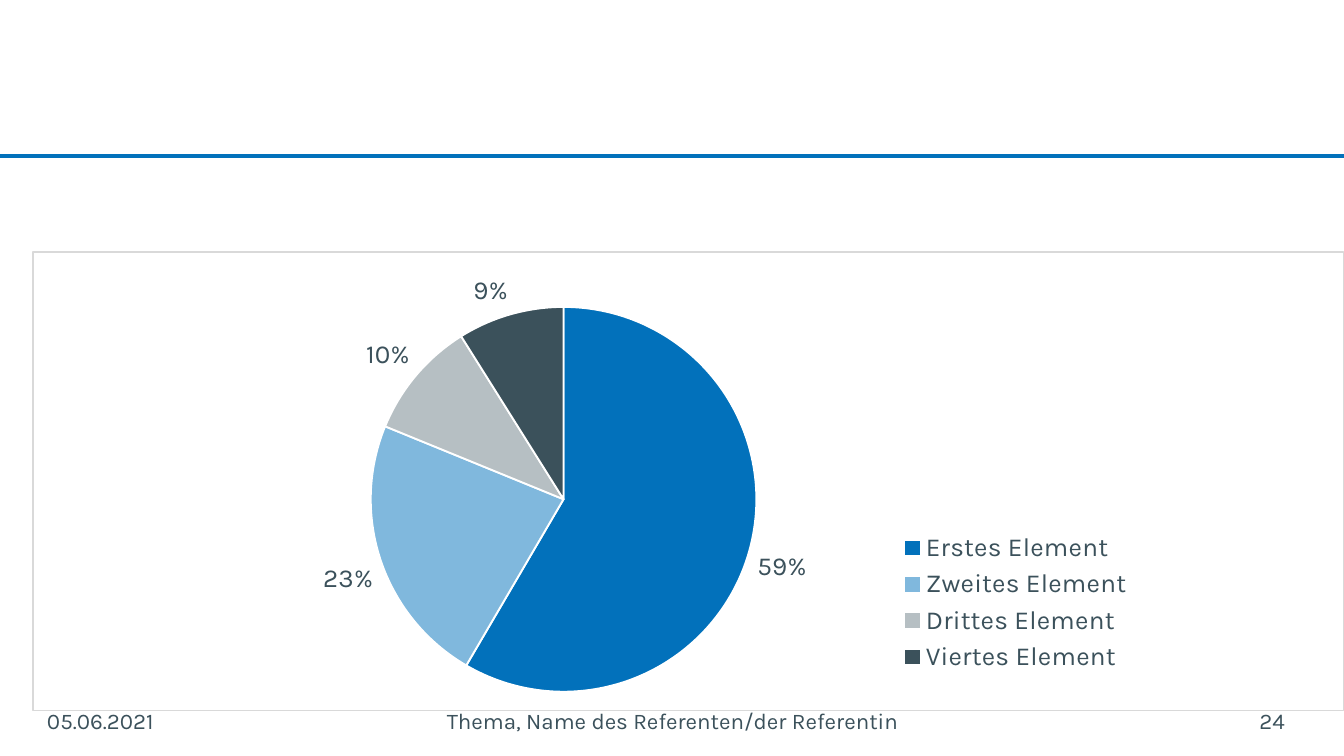
"""Build a slide with a pie chart and a footer."""
from dataclasses import dataclass

from pptx import Presentation
from pptx import oxml
from pptx.chart import data as cd
from pptx.dml.color import RGBColor
from pptx.enum import chart as ec
from pptx.enum import text as et
from pptx.oxml import ns
from pptx.util import Inches, Pt

FONT = "Karla"
BLUE, SKY, GRAY, DARK = "0271BB", "80B8DD", "B6BFC3", "3B515B"
WHITE, EDGE = "FFFFFF", "D9D9D9"


@dataclass
class Note:
    text: str
    left: float
    width: float
    align: et.PP_ALIGN
    pad: tuple[float, float] = (0.1, 0.1)


@dataclass
class Part:
    name: str
    value: int
    color: str


NOTES = [
    Note("05.06.2021", 0.35, 2.33, et.PP_ALIGN.LEFT, (0, 0.1)),
    Note("Thema, Name des Referenten/der Referentin", 3.11, 3.79,
         et.PP_ALIGN.CENTER),
    Note("24", 7.23, 2.33, et.PP_ALIGN.RIGHT, (0.1, 0)),
]
PARTS = [
    Part("Erstes Element", 59, BLUE),
    Part("Zweites Element", 23, SKY),
    Part("Drittes Element", 10, GRAY),
    Part("Viertes Element", 9, DARK),
]


def rgb(code: str) -> RGBColor:
    return RGBColor.from_string(code)


def style(font, size: float) -> None:
    font.name = FONT
    font.size = Pt(size)
    font.color.rgb = rgb(DARK)


def draw_rule(slide) -> None:
    y = Inches(1.16)
    rule = slide.shapes.add_connector(1, 0, y, Inches(10), y)
    rule.line.color.rgb = rgb(BLUE)
    rule.line.width = Pt(2)
    props = rule.element.find(ns.qn("p:spPr"))
    props.append(oxml.parse_xml(f"<a:effectLst {ns.nsdecls('a')}/>"))


def draw_note(slide, note: Note) -> None:
    box = slide.shapes.add_textbox(Inches(note.left), Inches(5.21),
                                   Inches(note.width), Inches(0.3))
    frame = box.text_frame
    frame.word_wrap = True
    frame.vertical_anchor = et.MSO_ANCHOR.MIDDLE
    frame.margin_left, frame.margin_right = map(Inches, note.pad)
    frame.text = note.text
    para = frame.paragraphs[0]
    para.alignment = note.align
    style(para.runs[0].font, 12)


def place(item, index: int, spots: dict[str, float], inner: bool) -> None:
    for old in item.findall(ns.qn("c:layout")):
        item.remove(old)
    target = '<c:layoutTarget val="inner"/>' if inner else ""
    modes = "".join(f'<c:{k}Mode val="edge"/>' for k in "xy")
    sizes = "".join(f'<c:{k} val="{v}"/>' for k, v in spots.items())
    item.insert(index, oxml.parse_xml(
        f"<c:layout {ns.nsdecls('c')}><c:manualLayout>{target}{modes}{sizes}"
        "</c:manualLayout></c:layout>"))


def frame_chart(chart) -> None:
    body = chart.element.find(ns.qn("c:chart"))
    body.addnext(oxml.parse_xml(
        f"<c:spPr {ns.nsdecls('c', 'a')}><a:solidFill><a:srgbClr val='{WHITE}'/>"
        f"</a:solidFill><a:ln w='{Pt(0.75)}'><a:solidFill>"
        f"<a:srgbClr val='{EDGE}'/></a:solidFill></a:ln></c:spPr>"))


def draw_pie(slide, parts: list[Part]) -> None:
    data = cd.CategoryChartData()
    data.categories = [part.name for part in parts]
    data.add_series("Series 1", [part.value for part in parts])
    chart = slide.shapes.add_chart(
        ec.XL_CHART_TYPE.PIE, Inches(0.24), Inches(1.87),
        Inches(9.76), Inches(3.42), data).chart
    chart.has_title = False
    style(chart.font, 14)
    frame_chart(chart)

    chart.has_legend = True
    legend = chart.legend
    legend.position = ec.XL_LEGEND_POSITION.RIGHT
    legend.include_in_layout = False
    style(legend.font, 14)
    area = chart.element.find(".//" + ns.qn("c:plotArea"))
    key = chart.element.find(".//" + ns.qn("c:legend"))
    place(area, 0, {"x": 0.25, "y": 0.12, "w": 0.31, "h": 0.84}, True)
    place(key, 1, {"x": 0.65, "y": 0.6, "w": 0.2, "h": 0.33}, False)

    plot = chart.plots[0]
    plot.vary_by_categories = True
    for i, part in enumerate(parts):
        look = plot.series[0].points[i].format
        look.fill.solid()
        look.fill.fore_color.rgb = rgb(part.color)
        look.line.color.rgb = rgb(WHITE)
        look.line.width = Pt(1)
    plot.has_data_labels = True
    labels = plot.data_labels
    labels.show_percentage = False
    labels.show_value = True
    labels.number_format = '0"%"'
    labels.number_format_is_linked = False
    labels.position = ec.XL_LABEL_POSITION.OUTSIDE_END
    style(labels.font, 14)


def main() -> None:
    deck = Presentation()
    deck.slide_width = Inches(10)
    deck.slide_height = deck.slide_width * 9 // 16
    slide = deck.slides.add_slide(deck.slide_layouts[6])
    draw_rule(slide)
    draw_pie(slide, PARTS)
    for note in NOTES:
        draw_note(slide, note)
    deck.save("out.pptx")


if __name__ == "__main__":
    main()
